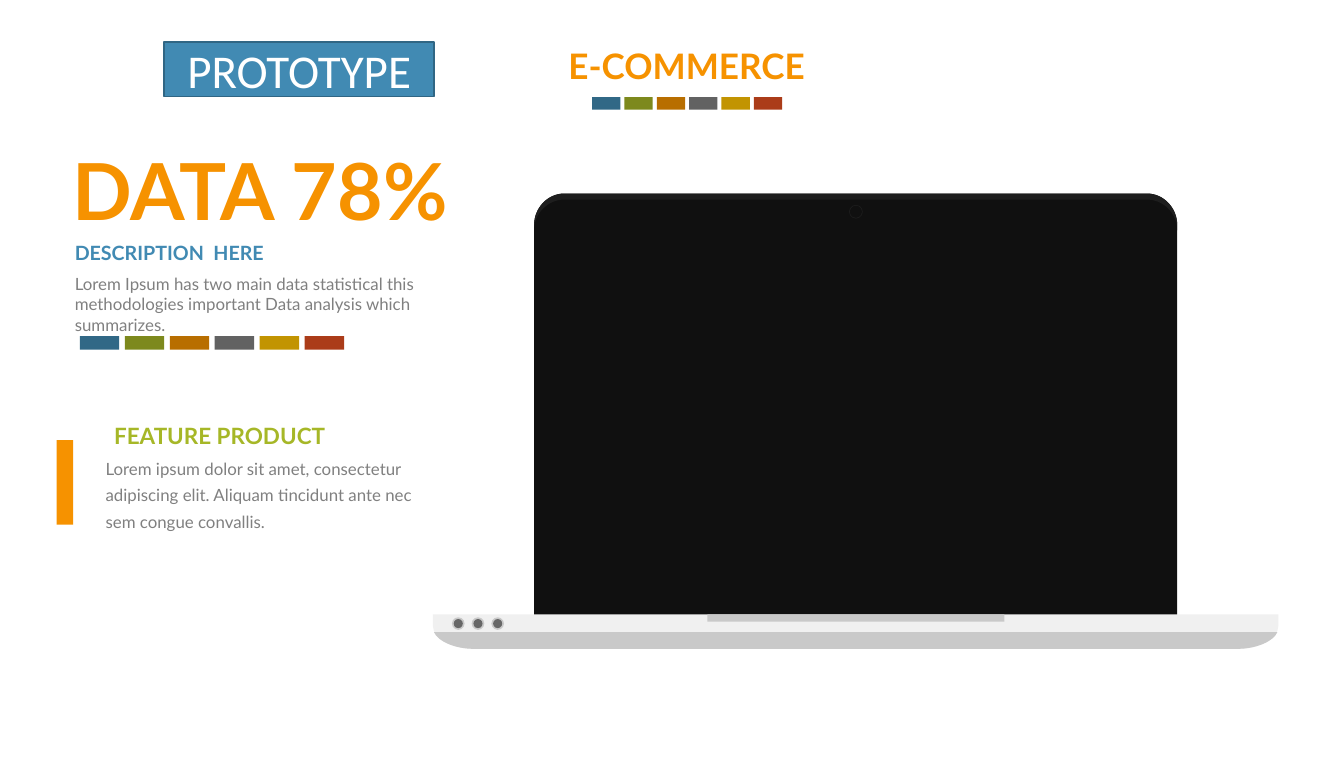
from lxml.etree import SubElement
from pptx import Presentation
from pptx.dml.color import RGBColor
from pptx.enum.shapes import MSO_SHAPE
from pptx.enum.text import MSO_ANCHOR, MSO_AUTO_SIZE, PP_ALIGN
from pptx.oxml.ns import qn
from pptx.util import Inches, Pt

ORANGE, BLUE, LIME, GRAY = "F69200", "418AB3", "A6B727", "808080"
BLACK, RIM, LIGHT, SILVER, DARK = "101010", "1E1E1E", "F0F0F0", "C9C9C9", "676767"
SWATCHES = ["316886", "7D891D", "B86E00", "626262", "C29401", "AB3C19"]


def rgb(value):
    return RGBColor.from_string(value)


def write(frame, text, *, size, color, font="Lato", bold=False, align=PP_ALIGN.LEFT,
          anchor=MSO_ANCHOR.TOP, spacing=None, inset=(0.1, 0.05)):
    frame.word_wrap = True
    frame.vertical_anchor = anchor
    frame.margin_left = frame.margin_right = Inches(inset[0])
    frame.margin_top = frame.margin_bottom = Inches(inset[1])
    paragraph = frame.paragraphs[0]
    paragraph.alignment = align
    if spacing:
        paragraph.line_spacing = spacing
    run = paragraph.add_run()
    run.text = text
    run.font.name, run.font.size, run.font.bold = font, Pt(size), bold
    run.font.color.rgb = rgb(color)


def line(x, y):
    return [(x, y)]


def bend(start, corner, end):
    handles = [tuple(p + 0.55 * (c - p) for p, c in zip(point, corner))
               for point in (start, end)]
    return handles + [end]


class Painter:
    """Draws styled elements on the current slide."""

    def __init__(self, slide):
        self.shapes = slide.shapes

    def paint(self, shape, fill, border=None):
        shape.shadow.inherit = False
        shape.fill.solid()
        shape.fill.fore_color.rgb = rgb(fill)
        if border:
            shape.line.color.rgb = rgb(border)
            shape.line.width = Pt(2)
        else:
            shape.line.fill.background()
        return shape

    def block(self, x, y, w, h, fill, border=None, kind=MSO_SHAPE.RECTANGLE):
        shape = self.shapes.add_shape(kind, Inches(x), Inches(y), Inches(w), Inches(h))
        return self.paint(shape, fill, border)

    def disc(self, cx, cy, diameter, fill):
        radius = diameter / 2
        self.block(cx - radius, cy - radius, diameter, diameter, fill, kind=MSO_SHAPE.OVAL)

    def outline(self, start, segments, fill):
        builder = self.shapes.build_freeform(Inches(start[0]), Inches(start[1]))
        builder.add_line_segments([(Inches(x), Inches(y)) for seg in segments for x, y in seg])
        shape = self.paint(builder.convert_to_shape(), fill)
        path = shape.element.find(".//" + qn("a:path"))
        steps = iter(path.findall(qn("a:lnTo")))
        for segment in segments:
            group = [next(steps) for _ in segment]
            if len(group) == 3:
                curve = SubElement(path, qn("a:cubicBezTo"))
                group[0].addprevious(curve)
                for step in group:
                    curve.append(step[0])
                    path.remove(step)

    def label(self, x, y, w, h, text, **style):
        box = self.shapes.add_textbox(Inches(x), Inches(y), Inches(w), Inches(h))
        write(box.text_frame, text, **style)
        box.text_frame.auto_size = MSO_AUTO_SIZE.SHAPE_TO_FIT_TEXT

    def swatches(self, x, y, w, h, pitch):
        for i, color in enumerate(SWATCHES):
            self.block(x + i * pitch, y, w, h, color)


def draw_laptop(painter):
    lid = [bend((10.57, 4.46), (10.57, 3.83), (11.17, 3.83)), line(22.7, 3.83),
           bend((22.7, 3.83), (23.3, 3.83), (23.3, 4.46))]
    inner = [line(23.3, 4.56), bend((23.3, 4.56), (23.3, 3.95), (22.7, 3.95)),
             line(11.17, 3.95), bend((11.17, 3.95), (10.57, 3.95), (10.57, 4.56))]
    base = [line(25.3, 12.16), line(25.3, 12.39),
            bend((25.3, 12.39), (25.3, 12.84), (24.5, 12.84)), line(9.37, 12.84),
            bend((9.37, 12.84), (8.57, 12.84), (8.57, 12.39)), line(8.57, 12.16)]
    foot = [line(25.28, 12.51), bend((25.28, 12.51), (25.15, 12.84), (24.5, 12.84)),
            line(9.37, 12.84), bend((9.37, 12.84), (8.72, 12.84), (8.59, 12.51))]
    painter.outline((10.57, 4.46), lid + [line(23.3, 12.61), line(10.57, 12.61)], BLACK)
    painter.outline((10.57, 4.46), lid + inner, RIM)
    painter.outline((8.57, 12.16), base, LIGHT)
    painter.outline((8.59, 12.51), foot, SILVER)
    painter.disc(16.94, 4.19, 0.27, RIM)
    painter.disc(16.94, 4.19, 0.24, BLACK)
    painter.block(14, 12.16, 5.88, 0.14, SILVER)
    for i in range(3):
        port = 9.07 + i * 0.39
        painter.disc(port, 12.34, 0.25, SILVER)
        painter.disc(port, 12.34, 0.18, DARK)


def draw_data(painter):
    painter.label(1.33, 2.75, 8.22, 1.99, "DATA 78%", size=112, color=ORANGE, bold=True)
    painter.label(1.24, 5.3, 8.63, 1.45,
                  "Lorem Ipsum has two main data statistical this methodologies "
                  "important Data analysis which summarizes.",
                  size=24, color=GRAY, inset=(0.24, 0.12))
    painter.label(1.28, 4.67, 4.68, 0.67, "DESCRIPTION  HERE",
                  size=28, color=BLUE, bold=True, inset=(0.2, 0.1))
    painter.swatches(1.58, 6.65, 0.78, 0.27, pitch=0.89)


def draw_feature(painter):
    painter.label(1.82, 8.82, 6.74, 1.84,
                  "Lorem ipsum dolor sit amet, consectetur adipiscing elit. "
                  "Aliquam tincidunt ante nec sem congue convallis.",
                  size=24, color=GRAY, spacing=1.3, anchor=MSO_ANCHOR.MIDDLE,
                  inset=(0.27, 0.13))
    painter.label(2.16, 8.31, 9.08, 0.64, "FEATURE PRODUCT", size=32, color=LIME, bold=True)
    accent = painter.block(0.45, 9.38, 1.67, 0.33, ORANGE)
    accent.rotation = 270


def draw_header(painter):
    painter.label(10.55, 0.83, 6.08, 0.94, "E-COMMERCE", size=50, color=ORANGE,
                  bold=True, align=PP_ALIGN.CENTER)
    painter.swatches(11.72, 1.92, 0.56, 0.25, pitch=0.64)
    badge = painter.block(3.25, 0.83, 5.34, 1.08, BLUE, border="306684")
    write(badge.text_frame, "PROTOTYPE", size=67, color="FFFFFF", font="Calibri",
          align=PP_ALIGN.CENTER, anchor=MSO_ANCHOR.MIDDLE)


def main():
    deck = Presentation()
    deck.slide_width, deck.slide_height = Inches(26.6), Inches(15)
    painter = Painter(deck.slides.add_slide(deck.slide_layouts[6]))
    for draw in (draw_laptop, draw_data, draw_feature, draw_header):
        draw(painter)
    deck.save("out.pptx")


if __name__ == "__main__":
    main()
